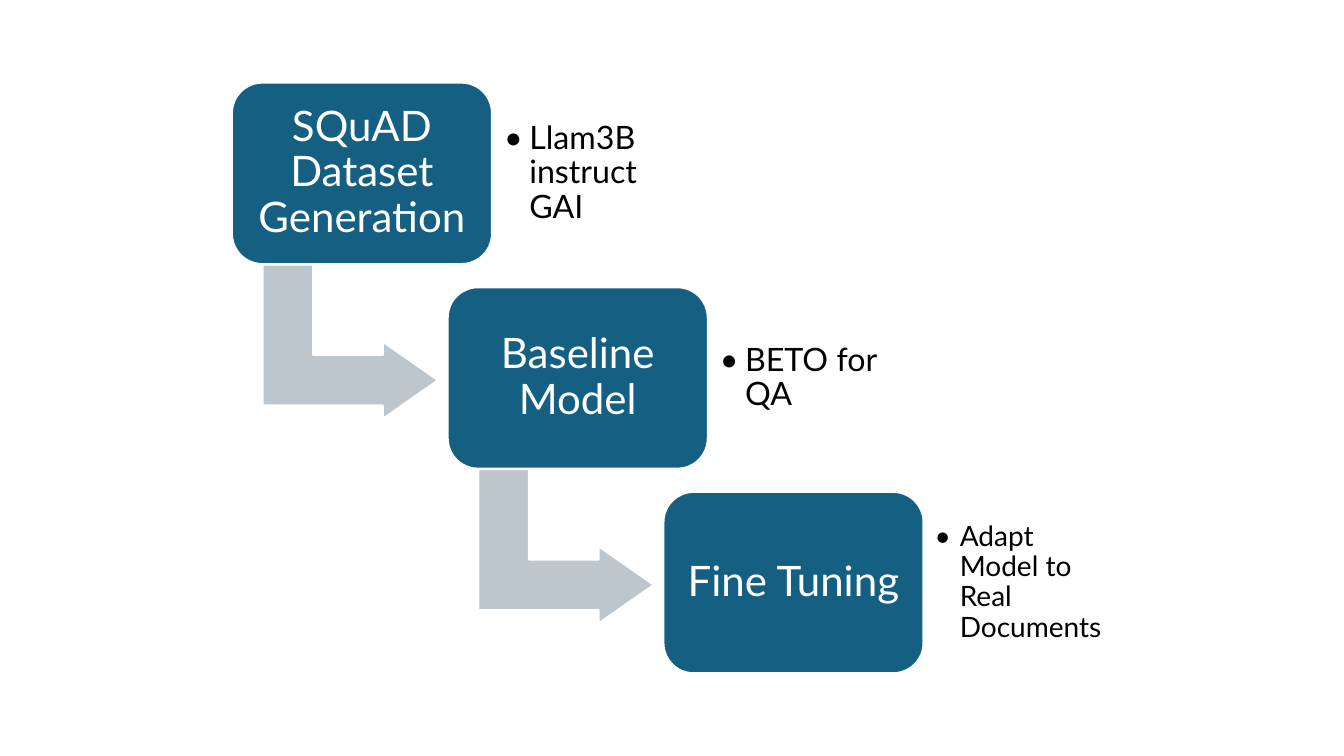
from lxml import etree
from pptx import Presentation
from pptx.dml.color import RGBColor
from pptx.enum.shapes import MSO_SHAPE
from pptx.enum.text import MSO_ANCHOR, PP_ALIGN
from pptx.oxml.ns import qn
from pptx.util import Inches, Pt

ROUNDED_BOX = MSO_SHAPE.ROUNDED_RECTANGLE
BENT_ARROW = MSO_SHAPE.BENT_UP_ARROW
MIDDLE = MSO_ANCHOR.MIDDLE
CENTER = PP_ALIGN.CENTER
LEFT = PP_ALIGN.LEFT

FONT = "Lato"
WHITE = "FFFFFF"
BLACK = "000000"
BLUE = "156082"
GREY = "BDC5CD"

FIRST_LEFT, FIRST_TOP = 2.3, 0.82
STEP_RIGHT, STEP_DOWN = 2.14, 2.03
BOX_WIDTH, BOX_HEIGHT = 2.58, 1.8

STEPS = [
    ("SQuAD Dataset Generation", "Llam3B instruct GAI", 23, 0.12),
    ("Baseline Model", "BETO for QA", 23, 0.12),
    ("Fine Tuning", "Adapt Model to Real Documents", 20, 0.11),
]


def color(value):
    return RGBColor.from_string(value)


def add_filled_shape(slide, kind, left, top, width, height, fill, adjustments):
    shape = slide.shapes.add_shape(
        kind, Inches(left), Inches(top), Inches(width), Inches(height)
    )
    shape.shadow.inherit = False
    shape.fill.solid()
    shape.fill.fore_color.rgb = color(fill)
    shape.line.color.rgb = color(WHITE)
    shape.line.width = Pt(1.5)
    for index, adjustment in enumerate(adjustments):
        shape.adjustments[index] = adjustment
    return shape


def prepare_frame(shape, inset, right_inset):
    frame = shape.text_frame
    frame.word_wrap = True
    frame.vertical_anchor = MIDDLE
    frame.margin_left = frame.margin_top = frame.margin_bottom = Inches(inset)
    frame.margin_right = Inches(right_inset)
    return frame.paragraphs[0]


def write_text(paragraph, text, size, text_color, alignment):
    paragraph.alignment = alignment
    paragraph.line_spacing = 0.9
    paragraph.font.size = Pt(size)
    run = paragraph.add_run()
    run.text = text
    run.font.name = FONT
    run.font.size = Pt(size)
    run.font.color.rgb = color(text_color)


def add_bullet(paragraph):
    properties = paragraph._p.get_or_add_pPr()
    properties.set("marL", str(Inches(0.25)))
    properties.set("indent", str(Inches(-0.25)))
    etree.SubElement(properties, qn("a:buFont")).set("typeface", FONT)
    etree.SubElement(properties, qn("a:buChar")).set("char", "•")


def add_step_box(slide, left, top, title):
    box = add_filled_shape(
        slide, ROUNDED_BOX, left, top, BOX_WIDTH, BOX_HEIGHT, BLUE, [0.167]
    )
    write_text(prepare_frame(box, 0.12, 0.12), title, 30, WHITE, CENTER)


def add_detail(slide, left, top, text, size, inset):
    box = slide.shapes.add_textbox(
        Inches(left), Inches(top), Inches(1.87), Inches(1.46)
    )
    paragraph = prepare_frame(box, inset, 0)
    add_bullet(paragraph)
    write_text(paragraph, text, size, BLACK, LEFT)


def add_step_arrow(slide, left, top):
    arrow = add_filled_shape(
        slide, BENT_ARROW, left, top, 1.53, 1.74, GREY, [0.328, 0.25, 0.358]
    )
    arrow.rotation = 90


def main():
    presentation = Presentation()
    presentation.slide_width = Inches(13.33)
    presentation.slide_height = Inches(7.5)
    slide = presentation.slides.add_slide(presentation.slide_layouts[6])
    for index, (title, detail, size, inset) in enumerate(STEPS):
        left = FIRST_LEFT + index * STEP_RIGHT
        top = FIRST_TOP + index * STEP_DOWN
        if index < len(STEPS) - 1:
            add_step_arrow(slide, left + 0.41, top + 1.7)
        add_step_box(slide, left, top, title)
        add_detail(slide, left + BOX_WIDTH, top + 0.17, detail, size, inset)
    presentation.save("out.pptx")


if __name__ == "__main__":
    main()
